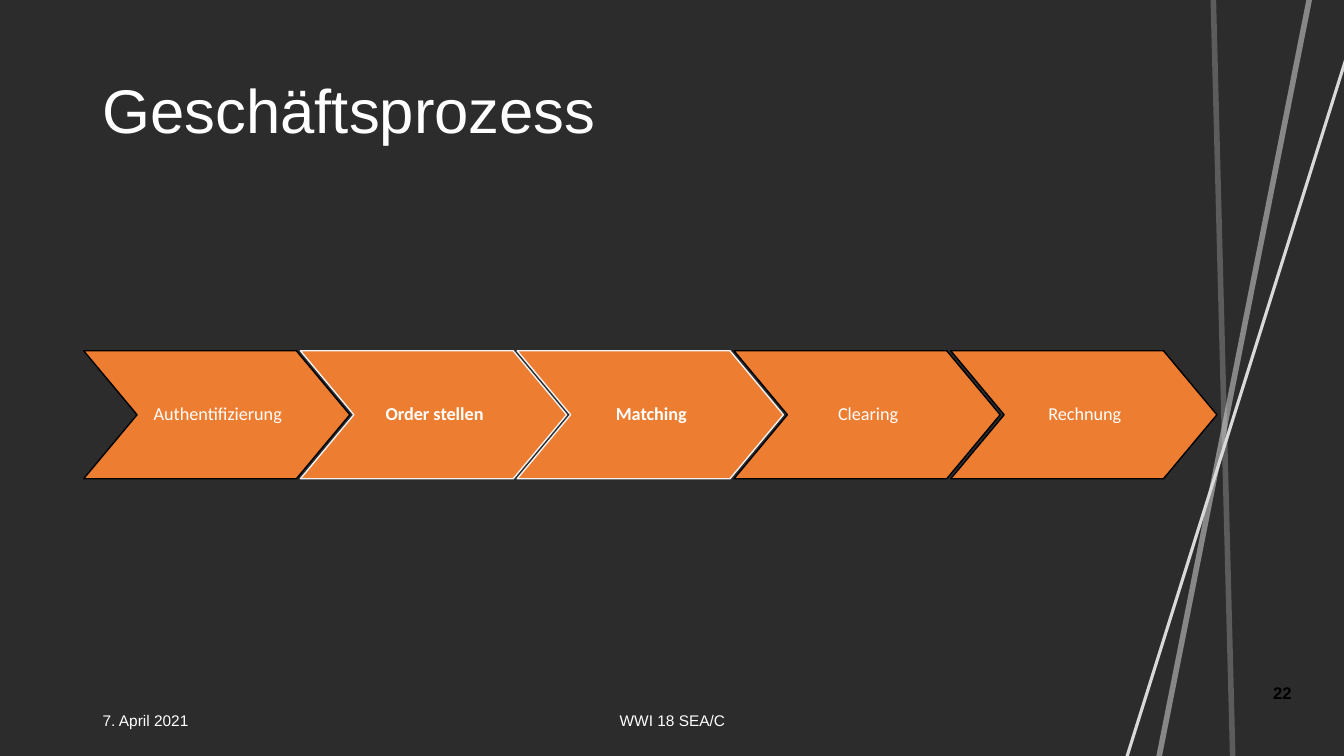
from pptx import Presentation
from pptx.dml.color import RGBColor
from pptx.enum.shapes import MSO_CONNECTOR as Connector, MSO_SHAPE as Shape
from pptx.enum.text import MSO_ANCHOR as Anchor, PP_ALIGN as Align
from pptx.oxml.ns import qn
from pptx.util import Inches, Pt
from lxml.etree import SubElement

WHITE, BLACK, ORANGE = "FFFFFF", "000000", "ED7D31"
PALE, RAY = "F2F2F2", "D9D9D9"


def color(value):
    return RGBColor.from_string(value)


class ProcessSlide:
    heading_font = "Arial"
    step_font = "Calibri"

    def __init__(self, presentation, background):
        self.slide = presentation.slides.add_slide(presentation.slide_layouts[6])
        fill = self.slide.background.fill
        fill.solid()
        fill.fore_color.rgb = color(background)

    def add_text(self, frame, text, size, font, ink=WHITE, bold=False,
                 align=Align.LEFT, spacing=1.0):
        frame.word_wrap = True
        frame.vertical_anchor = Anchor.MIDDLE
        paragraph = frame.paragraphs[0]
        paragraph.alignment = align
        paragraph.line_spacing = spacing
        run = paragraph.add_run()
        run.text = text
        run.font.size = Pt(size)
        run.font.name = font
        run.font.bold = bold
        run.font.color.rgb = color(ink)

    def label(self, text, left, top, width, height, size, **style):
        box = self.slide.shapes.add_textbox(
            Inches(left), Inches(top), Inches(width), Inches(height))
        self.add_text(box.text_frame, text, size, self.heading_font, **style)

    def ray(self, start, end, width, opacity):
        line = self.slide.shapes.add_connector(
            Connector.STRAIGHT, *(Inches(value) for value in start + end))
        line.line.width = Pt(width)
        line.line.color.rgb = color(RAY)
        properties = line._element.spPr
        if opacity < 100:
            tint = properties.find(".//" + qn("a:srgbClr"))
            SubElement(tint, qn("a:alpha")).set("val", str(opacity * 1000))
        SubElement(properties, qn("a:effectLst"))

    def step(self, text, left, top, width, height, outline, bold):
        chevron = self.slide.shapes.add_shape(
            Shape.CHEVRON, Inches(left), Inches(top), Inches(width), Inches(height))
        chevron.adjustments[0] = 0.53 / height
        chevron.shadow.inherit = False
        chevron.fill.solid()
        chevron.fill.fore_color.rgb = color(ORANGE)
        chevron.line.color.rgb = color(outline)
        chevron.line.width = Pt(1)
        frame = chevron.text_frame
        frame.margin_left = Inches(0.02)
        frame.margin_right = 0
        frame.margin_top = frame.margin_bottom = Inches(0.02)
        self.add_text(frame, text, 13, self.step_font, bold=bold,
                      align=Align.CENTER, spacing=0.9)


def main():
    presentation = Presentation()
    presentation.slide_width = Inches(13.33)
    presentation.slide_height = Inches(7.5)
    page = ProcessSlide(presentation, "2C2C2C")

    page.ray((11.01, 8.04), (13.42, 0.36), 2.25, 100)
    page.ray((11.39, 8.04), (13.05, -0.33), 4, 52)
    page.ray((12.24, 8.04), (12.03, -0.16), 4, 28)

    page.label("Geschäftsprozess", 0.92, 0.4, 11.5, 1.45, 44, spacing=0.9)

    steps = ["Authentifizierung", "Order stellen", "Matching", "Clearing", "Rechnung"]
    highlighted = {"Order stellen", "Matching"}
    for index, name in enumerate(steps):
        active = name in highlighted
        page.step(name, 0.83 + index * 2.15, 3.48, 2.64, 1.27,
                  PALE if active else BLACK, active)

    page.label("7. April 2021", 0.92, 6.95, 3, 0.4, 11)
    page.label("WWI 18 SEA/C", 4.42, 6.95, 4.5, 0.4, 11, align=Align.CENTER)
    page.label("22", 12.44, 6.67, 0.56, 0.4, 12, ink=BLACK, bold=True,
               align=Align.CENTER)

    presentation.save("out.pptx")


if __name__ == "__main__":
    main()
